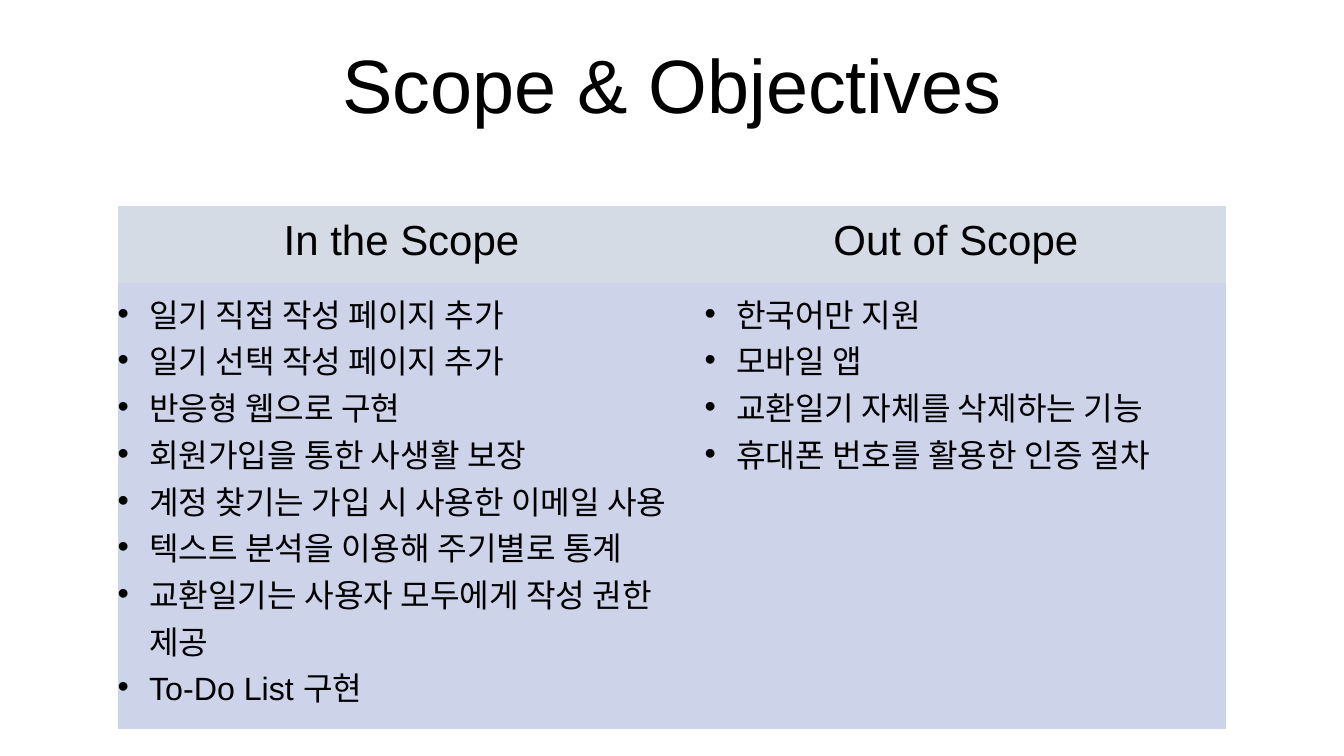
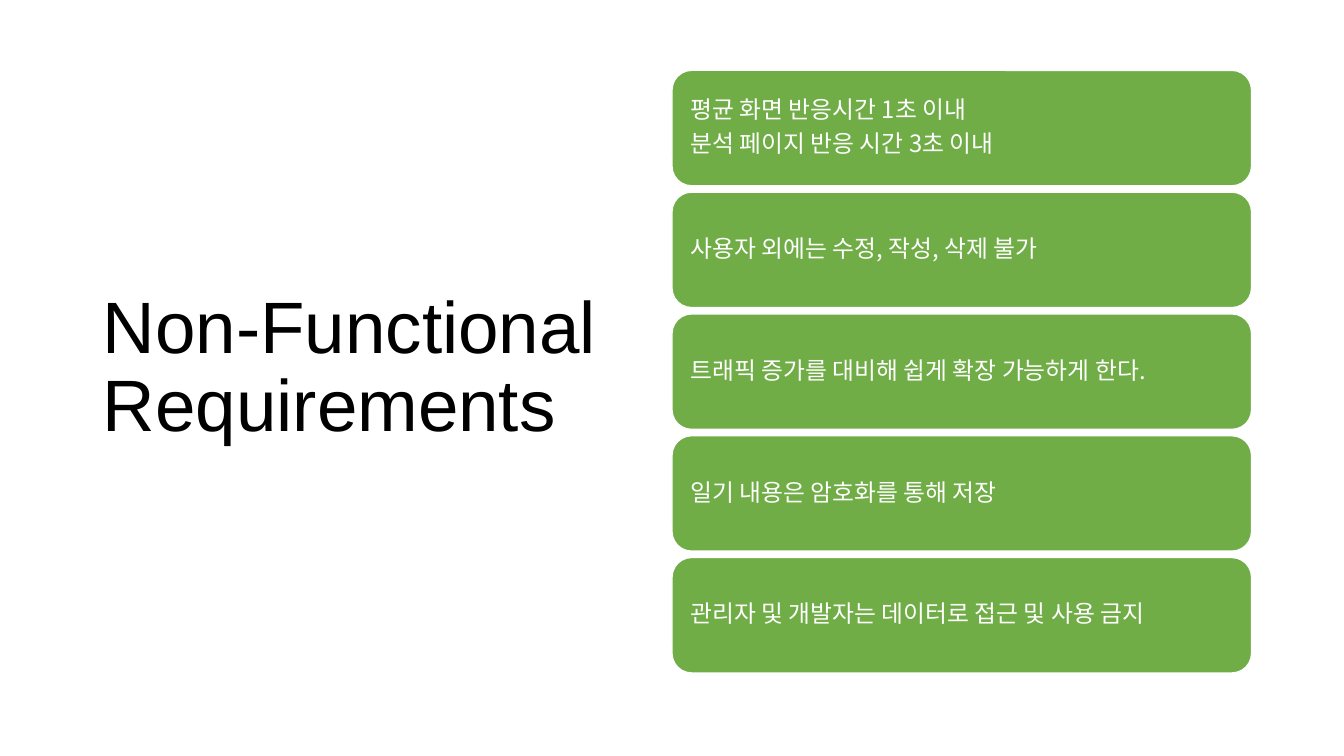
from dataclasses import dataclass

from pptx import Presentation
from pptx.dml.color import RGBColor
from pptx.enum.shapes import MSO_SHAPE
from pptx.enum.text import MSO_ANCHOR as ANCHOR, MSO_AUTO_SIZE as AUTO, PP_ALIGN as ALIGN
from pptx.oxml.ns import qn
from pptx.util import Emu, Pt
from lxml.etree import SubElement

PX = 9525
LATIN, KOREAN = "Arial", "Noto Sans CJK KR"
BLACK, WHITE, GREEN = "000000", "FFFFFF", "70AD47"
HEAD_FILL, BODY_FILL = "D5DBE5", "CDD4EA"
PLAIN_TABLE = "{2D5ABB26-0587-4C30-8999-92F81FD0307C}"


@dataclass(frozen=True)
class Box:
    x: int
    y: int
    w: int
    h: int

    def emu(self) -> list[Emu]:
        return [px(v) for v in (self.x, self.y, self.w, self.h)]


@dataclass(frozen=True)
class ScopeColumn:
    head: str
    items: tuple[str, ...]
    width: int


SCOPE = (
    ScopeColumn("In the Scope", (
        "일기 직접 작성 페이지 추가",
        "일기 선택 작성 페이지 추가",
        "반응형 웹으로 구현",
        "회원가입을 통한 사생활 보장",
        "계정 찾기는 가입 시 사용한 이메일 사용",
        "텍스트 분석을 이용해 주기별로 통계",
        "교환일기는 사용자 모두에게 작성 권한 제공",
        "To-Do List 구현",
    ), 559),
    ScopeColumn("Out of Scope", (
        "한국어만 지원",
        "모바일 앱",
        "교환일기 자체를 삭제하는 기능",
        "휴대폰 번호를 활용한 인증 절차",
    ), 497),
)

REQUIREMENTS = (
    ("평균 화면 반응시간 1초 이내", "분석 페이지 반응 시간 3초 이내"),
    ("사용자 외에는 수정, 작성, 삭제 불가",),
    ("트래픽 증가를 대비해 쉽게 확장 가능하게 한다.",),
    ("일기 내용은 암호화를 통해 저장",),
    ("관리자 및 개발자는 데이터로 접근 및 사용 금지",),
)


def px(n: int) -> Emu:
    return Emu(n * PX)


def rgb(value: str) -> RGBColor:
    return RGBColor.from_string(value)


def set_margins(target, left: int, top: int, right: int, bottom: int) -> None:
    target.margin_left, target.margin_top = px(left), px(top)
    target.margin_right, target.margin_bottom = px(right), px(bottom)


def add_run(p, text: str, size: int, color: str = BLACK, face: str = LATIN) -> None:
    r = p.add_run()
    r.text = text
    r.font.size = Pt(size)
    r.font.bold = False
    r.font.color.rgb = rgb(color)
    r.font.name = face
    SubElement(r.font._element, qn("a:ea")).set("typeface", KOREAN)


def next_paragraph(tf, index: int):
    return tf.add_paragraph() if index else tf.paragraphs[0]


def add_bullet(p, indent: int) -> None:
    pPr = p._p.get_or_add_pPr()
    pPr.set("marL", str(px(indent)))
    pPr.set("indent", str(-px(indent)))
    color = SubElement(pPr, qn("a:buClr"))
    SubElement(color, qn("a:srgbClr")).set("val", BLACK)
    SubElement(pPr, qn("a:buFont")).set("typeface", LATIN)
    SubElement(pPr, qn("a:buChar")).set("char", "•")


def add_titled_slide(prs, text: str, box: Box, size: int, align: ALIGN, anchor: ANCHOR):
    s = prs.slides.add_slide(prs.slide_layouts[5])
    title = s.shapes.title
    title.left, title.top, title.width, title.height = box.emu()
    tf = title.text_frame
    tf.word_wrap, tf.auto_size, tf.vertical_anchor = True, AUTO.NONE, anchor
    set_margins(tf, 10, 5, 10, 5)
    p = tf.paragraphs[0]
    p.alignment, p.line_spacing = align, 0.9
    add_run(p, text, size)
    return s


def add_scope_table(s, columns: tuple[ScopeColumn, ...], x: int, y: int,
                    heights: tuple[int, int]) -> None:
    box = Box(x, y, sum(c.width for c in columns), sum(heights))
    table = s.shapes.add_table(2, len(columns), *box.emu()).table
    table.first_row = table.horz_banding = False
    table._tbl.tblPr.find(qn("a:tableStyleId")).text = PLAIN_TABLE
    for row, height in zip(table.rows, heights):
        row.height = px(height)
    for i, column in enumerate(columns):
        table.columns[i].width = px(column.width)
        head, body = table.cell(0, i), table.cell(1, i)
        for cell, fill, top, anchor in ((head, HEAD_FILL, 4, ANCHOR.BOTTOM),
                                        (body, BODY_FILL, 6, ANCHOR.TOP)):
            cell.fill.solid()
            cell.fill.fore_color.rgb = rgb(fill)
            cell.vertical_anchor = anchor
            set_margins(cell, 0, top, 18, 18)
        p = head.text_frame.paragraphs[0]
        p.alignment = ALIGN.CENTER
        add_run(p, column.head, 30)
        for j, item in enumerate(column.items):
            p = next_paragraph(body.text_frame, j)
            add_bullet(p, 30)
            add_run(p, item, 23)


def add_requirement(s, lines: tuple[str, ...], box: Box) -> None:
    sp = s.shapes.add_shape(MSO_SHAPE.ROUNDED_RECTANGLE, *box.emu())
    sp.shadow.inherit = False
    sp.adjustments[0] = 0.17
    sp.fill.solid()
    sp.fill.fore_color.rgb = rgb(GREEN)
    sp.line.color.rgb = rgb(WHITE)
    sp.line.width = Pt(1)
    tf = sp.text_frame
    tf.word_wrap, tf.vertical_anchor = True, ANCHOR.MIDDLE
    set_margins(tf, 12, 12, 12, 12)
    for i, line in enumerate(lines):
        p = next_paragraph(tf, i)
        p.alignment, p.line_spacing = ALIGN.LEFT, 0.9
        p.space_before = Pt(6 if i else 0)
        add_run(p, line, 17, WHITE, KOREAN)


def main() -> None:
    prs = Presentation()
    prs.slide_width, prs.slide_height = px(1280), px(720)

    s = add_titled_slide(prs, "Scope & Objectives", Box(88, 31, 1104, 98), 54,
                         ALIGN.CENTER, ANCHOR.BOTTOM)
    add_scope_table(s, SCOPE, 112, 196, (74, 424))

    s = add_titled_slide(prs, "Non-Functional Requirements", Box(88, 59, 511, 585), 52,
                         ALIGN.LEFT, ANCHOR.MIDDLE)
    height, gap = 110, 6
    for i, lines in enumerate(REQUIREMENTS):
        add_requirement(s, lines, Box(640, 67 + i * (height + gap), 552, height))

    prs.save("out.pptx")


if __name__ == "__main__":
    main()
